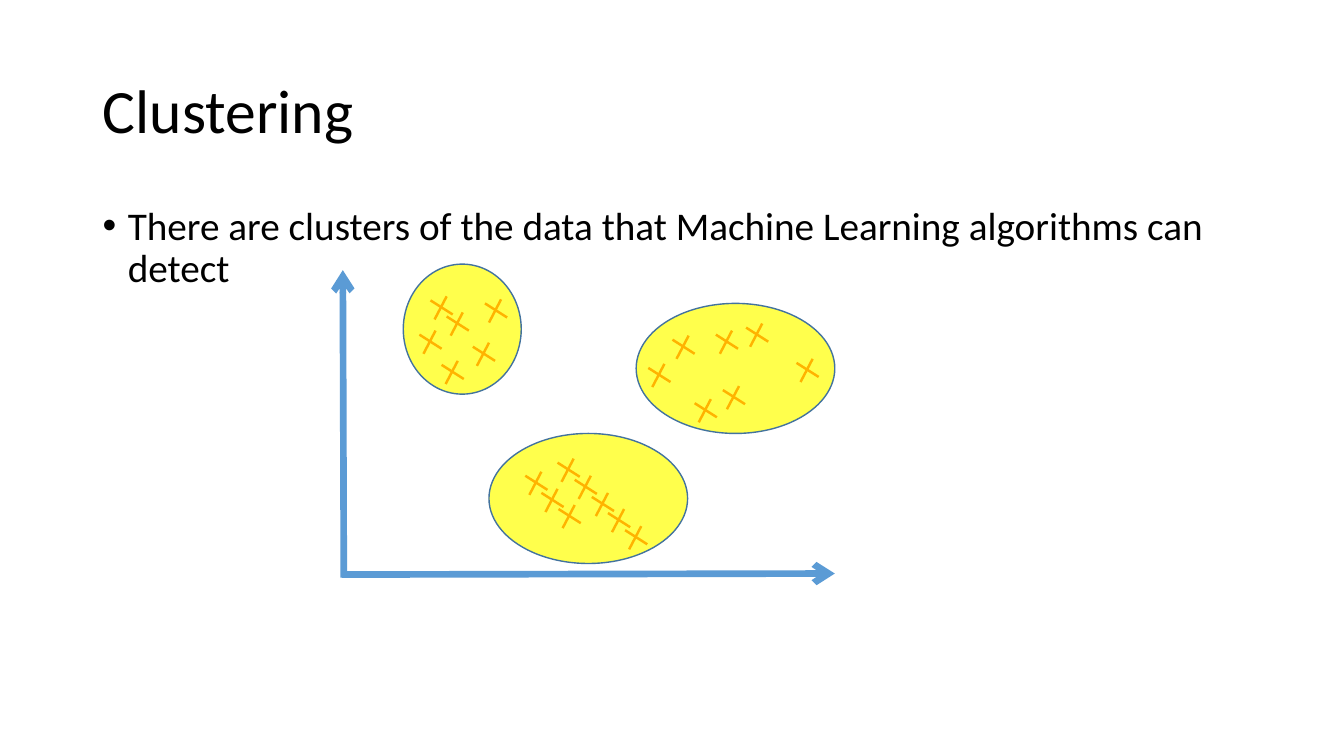
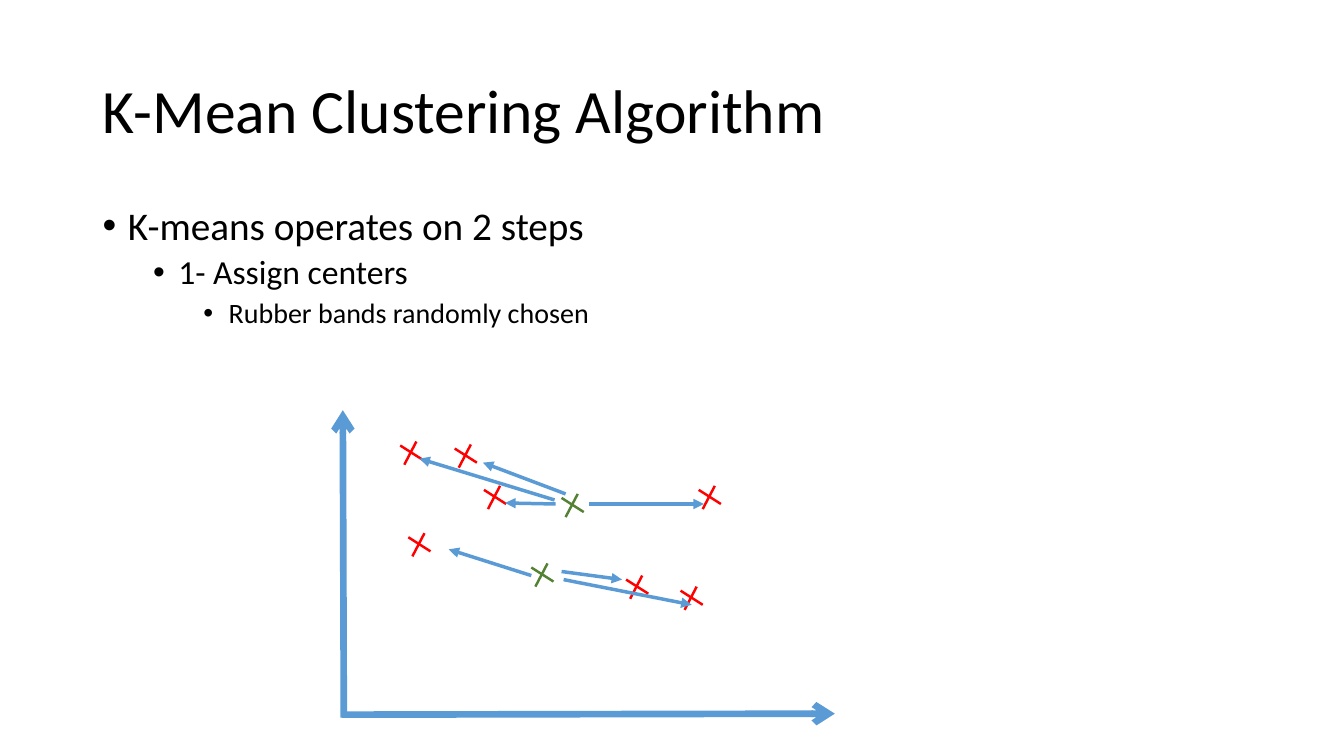
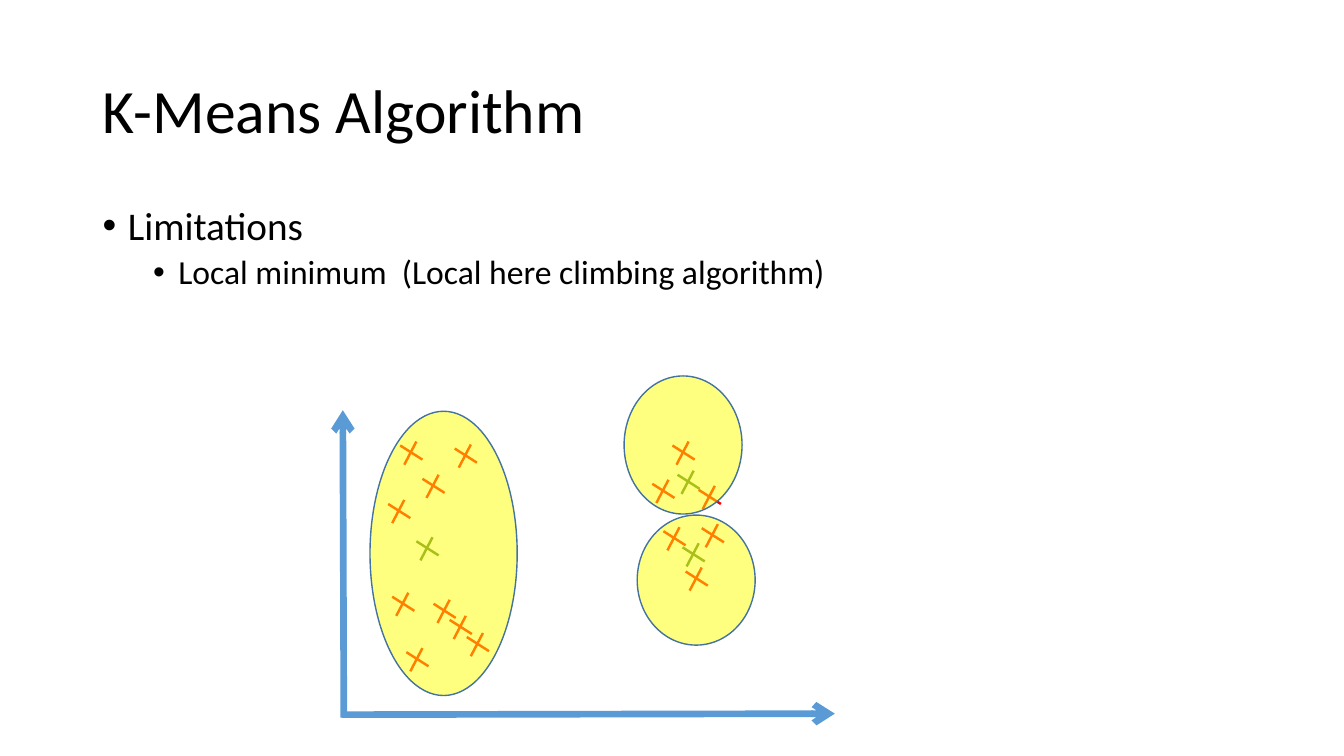
"""Build three slides on clustering and the K-means algorithm."""
from dataclasses import dataclass

from lxml.etree import SubElement as Sub
from pptx import Presentation
from pptx.dml.color import RGBColor as Rgb
from pptx.enum.shapes import MSO_CONNECTOR as Link, MSO_SHAPE as Form
from pptx.enum.text import MSO_ANCHOR as Anchor, PP_ALIGN as Align
from pptx.oxml.ns import qn
from pptx.util import Inches, Pt


@dataclass(frozen=True)
class Theme:
    font: str = "Calibri"
    ink: str = "000000"
    axis: str = "5B9BD5"
    data: str = "FF0000"
    center: str = "548235"
    zone: str = "FFFF00"
    rim: str = "43739E"
    title: int = 44
    body: tuple = (28, 24, 20)
    space: tuple = (10, 5, 5)
    lead: float = 0.9
    bold: float = 4.75
    arrow: float = 2.5
    cross: float = 1.75
    edge: float = 1


theme = Theme()
cell = Inches(0.01)
cols, rows = 1333, 750
title_box = (92, 40, 1150, 145)
left, right = 339, 828
strokes = ((16, 0, 4, 23), (0, 4, 22, 18))

slides = [
    dict(
        title="Clustering",
        body=["There are clusters of the data that Machine Learning algorithms can detect"],
        wide=1150, base=570, alpha=70,
        data=[(427, 294), (443, 310), (469, 340), (438, 358), (481, 297), (416, 328),
              (667, 333), (710, 328), (689, 396), (717, 383), (643, 361), (790, 356),
              (740, 321), (521, 468), (537, 485), (554, 501), (553, 455), (570, 472),
              (587, 489), (603, 505), (620, 522)],
        centers=[], arrows=[],
        zones=[(400, 262, 117, 129), (631, 301, 197, 129), (485, 430, 197, 129)],
    ),
    dict(
        title="K-Mean Clustering Algorithm",
        body=["K-means operates on 2 steps", "1- Assign centers", "Rubber bands randomly chosen"],
        wide=1150, base=709, alpha=50,
        data=[(397, 438), (405, 529), (451, 441), (480, 482), (621, 571), (675, 582),
              (693, 482)],
        centers=[(557, 490), (527, 559)],
        arrows=[(561, 490, 479, 459), (551, 500, 501, 499), (550, 496, 416, 455),
                (584, 500, 698, 500), (559, 575, 686, 600), (557, 567, 617, 575),
                (527, 571, 445, 545)],
        zones=[],
    ),
    dict(
        title="K-Means Algorithm",
        body=["Limitations", "Local minimum  (Local here climbing algorithm)"],
        wide=1221, base=709, alpha=50,
        data=[(397, 438), (419, 471), (451, 441), (385, 496), (658, 523), (696, 520),
              (693, 482), (389, 588), (430, 595), (446, 611), (463, 628), (403, 643),
              (647, 476), (667, 438), (680, 563)],
        centers=[(413, 533), (672, 467), (677, 539)],
        arrows=[],
        zones=[(367, 408, 146, 282), (619, 373, 117, 137), (632, 511, 117, 129)],
    ),
]


def draw(host, ends, color, width, tip=None):
    line = host.add_connector(Link.STRAIGHT, *(cell * n for n in ends))
    line.line.color.rgb = Rgb.from_string(color)
    line.line.width = Pt(width)
    props = line.element.spPr
    if tip:
        Sub(props.find(qn("a:ln")), qn("a:tailEnd"), type=tip)
    Sub(props, qn("a:effectLst"))


def style(para, size):
    para.line_spacing = theme.lead
    para.alignment = Align.LEFT
    para.font.name = theme.font
    para.font.size = Pt(size)
    para.font.color.rgb = Rgb.from_string(theme.ink)


deck = Presentation()
deck.slide_width, deck.slide_height = cell * cols, cell * rows

for item in slides:
    slide = deck.slides.add_slide(deck.slide_layouts.get_by_name("Title Only"))
    shapes = slide.shapes

    title = shapes.title
    title.left, title.top, title.width, title.height = (cell * n for n in title_box)
    title.text_frame.text = item["title"]
    title.text_frame.vertical_anchor = Anchor.MIDDLE
    style(title.text_frame.paragraphs[0], theme.title)

    box = shapes.add_textbox(*(cell * n for n in (92, 200, item["wide"], 476)))
    frame = box.text_frame
    frame.word_wrap = True
    frame.text = "\n".join(item["body"])
    for level, para in enumerate(frame.paragraphs):
        style(para, theme.body[level])
        para.level = level
        para.space_before = Pt(theme.space[level])
        props = para._p.get_or_add_pPr()
        props.set("marL", str(cell * (25 + 50 * level)))
        props.set("indent", str(cell * -25))
        Sub(props, qn("a:buFont"), typeface="Arial")
        Sub(props, qn("a:buChar"), char="•")

    base = item["base"]
    for ends in ((left, base, right, base - 1), (left + 2, base + 3, left + 1, base - 302)):
        draw(shapes, ends, theme.axis, theme.bold, "arrow")

    for kind, color in (("data", theme.data), ("centers", theme.center)):
        for x, y in item[kind]:
            cross = shapes.add_group_shape().shapes
            for a, b, c, d in strokes:
                draw(cross, (x + a, y + b, x + c, y + d), color, theme.cross)

    for ends in item["arrows"]:
        draw(shapes, ends, theme.axis, theme.arrow, "triangle")

    for area in item["zones"]:
        zone = shapes.add_shape(Form.OVAL, *(cell * n for n in area))
        zone.shadow.inherit = False
        zone.fill.solid()
        zone.fill.fore_color.rgb = Rgb.from_string(theme.zone)
        tint = zone.element.spPr.find(qn("a:solidFill")).find(qn("a:srgbClr"))
        Sub(tint, qn("a:alpha"), val=str(item["alpha"] * 1000))
        zone.line.color.rgb = Rgb.from_string(theme.rim)
        zone.line.width = Pt(theme.edge)

deck.save("out.pptx")
